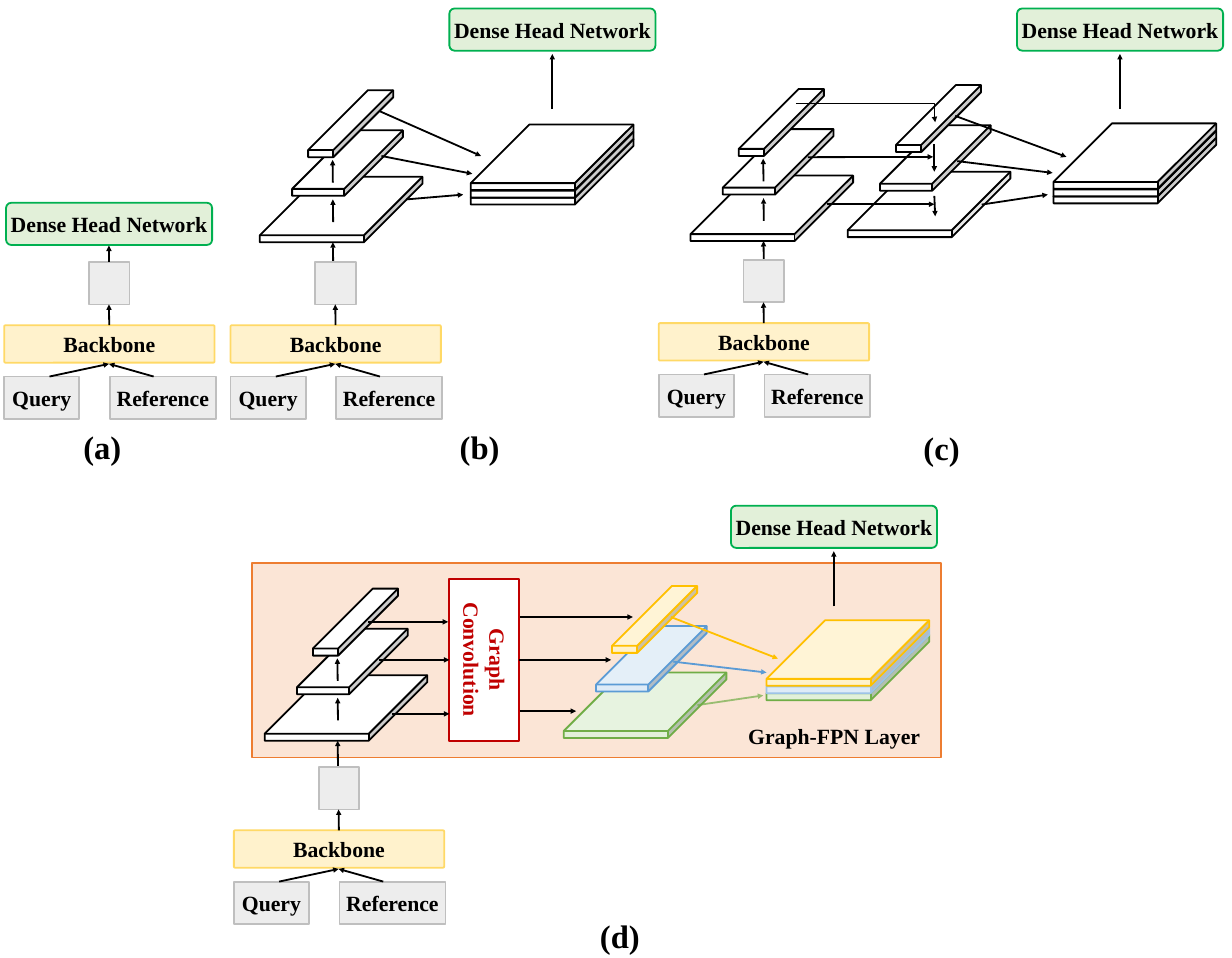
from dataclasses import dataclass

from lxml.etree import SubElement
from pptx import Presentation
from pptx.dml.color import RGBColor
from pptx.enum.shapes import MSO_CONNECTOR as Link, MSO_SHAPE as Preset
from pptx.enum.text import MSO_ANCHOR as Anchor, PP_ALIGN as Align
from pptx.oxml.ns import qn
from pptx.util import Pt


@dataclass(frozen=True)
class Theme:
    # Each paint is a fill colour and a line colour
    font: str = "Times New Roman"
    label: int = 36
    caption: int = 54
    stroke: int = 3
    ink: str = "000000"
    accent: str = "C00000"
    plain: tuple = ("FFFFFF", "000000")
    gray: tuple = ("EDEDED", "BFBFBF")
    backbone: tuple = ("FFF2CC", "FFD966")
    head: tuple = ("E2F0D9", "00B050")
    layer: tuple = ("FBE5D6", "ED7D31")
    convolution: tuple = ("FFFFFF", "C00000")
    green: tuple = ("E2F0D9", "70AD47")
    blue: tuple = ("DEEBF7", "5B9BD5")
    pale_blue: tuple = ("DEEBF7", "9DC3E6")
    yellow: tuple = ("FFF2CC", "FFC000")


THEME = Theme()
CUBE_DEPTH = 0.894


def set_alpha(parent, percent):
    color = next(parent.iter(qn("a:srgbClr")))
    SubElement(color, qn("a:alpha")).set("val", str(percent * 1000))


def write(shape, words, size, color, align):
    frame = shape.text_frame
    paragraph = frame.paragraphs[0]
    paragraph.alignment = align
    run = paragraph.add_run()
    run.text = words
    run.font.name = THEME.font
    run.font.size = Pt(size)
    run.font.bold = True
    run.font.color.rgb = RGBColor.from_string(color)
    return frame


@dataclass
class Region:
    """An area of the slide; its parts are placed from its top left corner."""
    shapes: object
    left: float
    top: float

    def at(self, x, y):
        return Region(self.shapes, self.left + x, self.top + y)

    def box(self, x, y, width, height):
        return Pt(self.left + x), Pt(self.top + y), Pt(width), Pt(height)

    def block(self, box, paint, words=None, preset=Preset.RECTANGLE, adjust=None, alpha=None):
        block = self.shapes.add_shape(preset, *self.box(*box))
        block.shadow.inherit = False
        fill, line = paint
        block.fill.solid()
        block.fill.fore_color.rgb = RGBColor.from_string(fill)
        block.line.color.rgb = RGBColor.from_string(line)
        block.line.width = Pt(THEME.stroke)
        if adjust is not None:
            block.adjustments[0] = adjust
        if alpha:
            set_alpha(block._element.spPr.find(qn("a:solidFill")), alpha)
        if words:
            frame = write(block, words, THEME.label, THEME.ink, Align.CENTER)
            frame.word_wrap = False
            frame.vertical_anchor = Anchor.MIDDLE

    def cube(self, box, paint, alpha=None):
        self.block(box, paint, preset=Preset.CUBE, adjust=CUBE_DEPTH, alpha=alpha)

    def text(self, box, words, size=THEME.label, color=THEME.ink, align=Align.LEFT, turn=0):
        label = self.shapes.add_textbox(*self.box(*box))
        label.rotation = turn
        write(label, words, size, color, align).word_wrap = True

    def arrow(self, x1, y1, x2, y2, color=THEME.ink, alpha=None, bend=None):
        kind = Link.ELBOW if bend else Link.STRAIGHT
        arrow = self.shapes.add_connector(
            kind, *self.box(x1, y1, self.left + x2, self.top + y2))
        arrow.line.color.rgb = RGBColor.from_string(color)
        arrow.line.width = Pt(THEME.stroke)
        properties = arrow._element.spPr
        outline = properties.find(qn("a:ln"))
        if alpha:
            set_alpha(outline, alpha)
        SubElement(outline, qn("a:tailEnd")).set("type", "triangle")
        SubElement(properties, qn("a:effectLst"))
        if bend:
            guide = SubElement(next(properties.iter(qn("a:avLst"))), qn("a:gd"))
            guide.set("name", "adj1")
            guide.set("fmla", f"val {round(bend * 100000)}")

    def arrows(self, *routes):
        for route in routes:
            self.arrow(*route)

    def caption(self, x, y, words):
        self.text((x, y, 91.5, 72.5), words, THEME.caption)


# Query and reference feeding the backbone and its feature map
def draw_backbone(area):
    area.block((0, 190, 124.5, 70.5), THEME.gray, "Query")
    area.block((175, 190, 175.5, 70.5), THEME.gray, "Reference")
    area.block((0, 105, 348.5, 62), THEME.backbone, "Backbone", Preset.ROUNDED_RECTANGLE, 0.034)
    area.block((140.5, 0, 67, 70.5), THEME.gray)
    area.arrows((174, 105, 173.5, 70.5), (75, 190, 173.5, 169), (247.5, 190, 173.5, 169))


def draw_head(area, inlet=True):
    area.block((0, 0, 341.5, 70), THEME.head, "Dense Head Network", Preset.ROUNDED_RECTANGLE, 0.124)
    if inlet:
        area.arrow(170.5, 167, 170.5, 75.5)


# Three feature levels; inlet is the length of the arrow coming from below
def draw_pyramid(area, paints=(THEME.plain,) * 3, inlet=None, alpha=None):
    if inlet:
        area.arrow(121.5, 108.5 + inlet, 121, 108.5)
    levels = (0, 0, 269.5, 108.5), (53.5, -77, 183.5, 108.5), (80, -143.5, 141, 111)
    for level, paint, opacity in zip(levels, paints, (alpha, None, None)):
        area.cube(level, paint, opacity)
    if inlet:
        area.arrows((121.5, 75, 121, 37.5), (121, 9.5, 120.5, -28))


def draw_stack(area, paints=(THEME.plain,) * 3):
    for drop, paint in zip((24, 12.5, 0), paints):
        area.cube((0, drop, 269.5, 108.5), paint)


def draw_panel_a(area):
    draw_head(area.at(3, 0), inlet=False)
    draw_backbone(area.at(0, 98))
    area.arrow(173.5, 98, 173.5, 71)
    area.caption(124, 367.5, "(a)")


def draw_panel_b(area):
    draw_pyramid(area.at(48.5, 279), inlet=32)
    draw_stack(area.at(398, 192.5))
    area.arrows((247.5, 170.5, 415, 244.5), (250, 244.5, 400.5, 274), (291, 316.5, 385.5, 308.5))
    draw_head(area.at(362.5, 0))
    draw_backbone(area.at(0, 420))
    area.caption(372.5, 689.5, "(b)")


def draw_panel_c(area):
    draw_pyramid(area.at(53, 277), inlet=34)
    draw_stack(area.at(654.5, 190.5))
    draw_pyramid(area.at(313.5, 270.5), alpha=40)
    # Fusion, lateral and top-down arrows
    area.arrows((491.5, 178, 676, 246), (495, 253, 653, 272.5), (535.5, 325, 645, 308.5))
    area.arrows((247.5, 246.5, 455, 246), (279, 324.5, 457, 324.5))
    area.arrow(227.5, 157.5, 458.5, 188.5, bend=0.995)
    area.arrows((457, 225, 457, 270.5), (457, 310.5, 458.5, 344.5))
    draw_head(area.at(594, 0))
    draw_backbone(area.at(0.5, 416.5))
    area.caption(432, 691.5, "(c)")


def draw_panel_d(area):
    # Graph-FPN layer with its convolution
    area.block((30, 95, 1142.5, 322.5), THEME.layer)
    area.block((357.5, 122, 116, 268.5), THEME.convolution)
    draw_pyramid(area.at(51.5, 281), inlet=43)
    area.text((302, 208, 228, 94.5), "Graph Convolution", color=THEME.accent,
              align=Align.CENTER, turn=90)
    for start, end, y in ((223.5, 355.5, 192.5), (241, 357.5, 255.5), (263, 357.5, 345),
                          (475, 661.5, 184.5), (473.5, 625.5, 255.5), (474, 567.5, 340.5)):
        area.arrow(start, y, end, y)
    # Coloured levels fused into the stack
    draw_stack(area.at(883, 190), (THEME.green, THEME.pale_blue, THEME.yellow))
    draw_pyramid(area.at(547, 276.5), (THEME.green, THEME.blue, THEME.yellow))
    area.arrows((724.5, 184.5, 902, 253.5, THEME.yellow[1]),
                (728.5, 258.5, 883, 276.5, THEME.blue[1]),
                (768.5, 330.5, 877.5, 314.5, THEME.green[1], 70))
    area.text((845.5, 356, 308, 51), "Graph-FPN Layer")
    draw_head(area.at(824, 0))
    draw_backbone(area.at(0.5, 433))
    area.caption(600, 676, "(d)")


def main():
    deck = Presentation()
    deck.slide_width, deck.slide_height = Pt(2041.2), Pt(1587.6)
    shapes = deck.slides.add_slide(deck.slide_layouts[6]).shapes
    for draw, left, top in ((draw_panel_d, 387, 838), (draw_panel_c, 1091, 14),
                            (draw_panel_b, 382, 14), (draw_panel_a, 7, 336)):
        draw(Region(shapes, left, top))
    deck.save("out.pptx")


if __name__ == "__main__":
    main()
